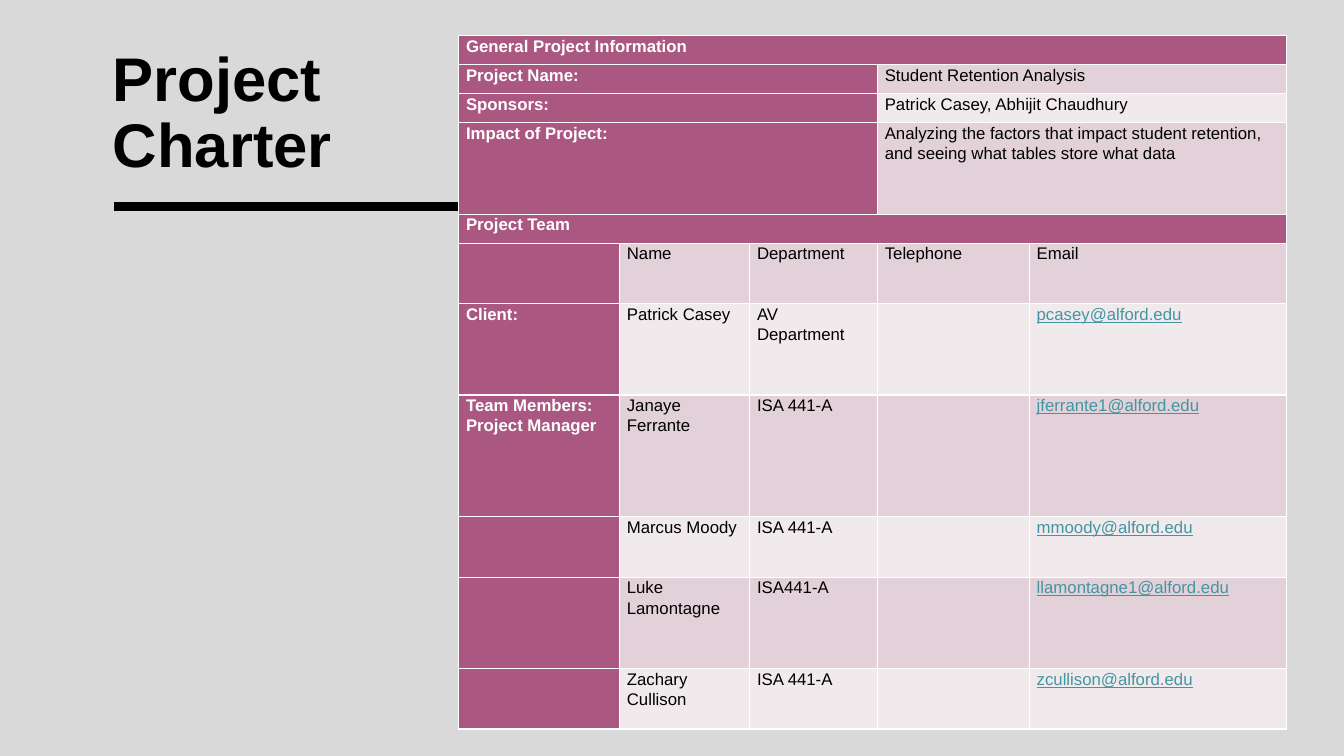
from lxml import etree
from pptx import Presentation
from pptx.dml.color import RGBColor
from pptx.enum import shapes, text
from pptx.oxml import ns
from pptx.util import Pt

BLACK, WHITE, LINK = "000000", "FFFFFF", "4495A2"
PLUM, ROSE, BLUSH = "AA5881", "E2D1D8", "F1EAED"


def color(value):
    return RGBColor.from_string(value)


def write(frame, words, size=12, ink=BLACK, bold=False, underline=False, spacing=1.07):
    """Fill a text frame; newlines split paragraphs, vertical tabs break lines."""
    frame.word_wrap = True
    frame.text = words
    for para in frame.paragraphs:
        para.line_spacing = spacing
        for span in para.runs or [para.add_run()]:
            span.font.name = "Arial"
            span.font.size = Pt(size)
            span.font.bold = bold
            span.font.underline = underline
            span.font.color.rgb = color(ink)


deck = Presentation()
deck.slide_width, deck.slide_height = Pt(960), Pt(540)
page = deck.slides.add_slide(deck.slide_layouts[6])
page.background.fill.solid()
page.background.fill.fore_color.rgb = color("D9D9D9")

# Title
title = page.shapes.add_textbox(Pt(80.6), Pt(78.5), Pt(615), Pt(51)).text_frame
title.margin_left = title.margin_right = title.margin_top = title.margin_bottom = 0
title.vertical_anchor = text.MSO_ANCHOR.BOTTOM
write(title, "Project\vCharter", size=44, bold=True, spacing=0.9)

# Rule under the title, running behind the table
rule = page.shapes.add_connector(
    shapes.MSO_CONNECTOR.STRAIGHT, Pt(81.4), Pt(147.5), Pt(386), Pt(147.5))
rule.line.width = Pt(6)
rule.line.color.rgb = color(BLACK)
etree.SubElement(rule._element.spPr, ns.qn("a:effectLst"))

# Table content: each row has its height and its cells
NARROW, MEDIUM, TALL = 20.8, 43.2, 65.2
rows = [
    (NARROW, ["General Project Information"]),
    (NARROW, ["Project Name:", "Student Retention Analysis"]),
    (NARROW, ["Sponsors:", "Patrick Casey, Abhijit Chaudhury"]),
    (TALL, ["Impact of Project:", "Analyzing the factors that impact student "
            "retention, and seeing what tables store what data"]),
    (NARROW, ["Project Team"]),
    (MEDIUM, ["", "Name", "Department", "Telephone", "Email"]),
    (TALL, ["Client:", "Patrick Casey", "AV Department", "", "pcasey@alford.edu"]),
    (87.1, ["Team Members:\nProject Manager", "Janaye Ferrante", "ISA 441-A", "",
            "jferrante1@alford.edu"]),
    (MEDIUM, ["", "Marcus Moody", "ISA 441-A", "", "mmoody@alford.edu"]),
    (TALL, ["", "Luke Lamontagne", "ISA441-A", "", "llamontagne1@alford.edu"]),
    (MEDIUM, ["", "Zachary Cullison", "ISA 441-A", "", "zcullison@alford.edu"]),
]
widths = [114.9, 93, 91.3, 108.5, 183.6]
starts = {1: [0], 2: [0, 3], 5: [0, 1, 2, 3, 4]}  # first column of each cell

# Table
charter = page.shapes.add_table(
    len(rows), len(widths), Pt(327.5), Pt(25.4),
    Pt(sum(widths)), Pt(sum(height for height, _ in rows))).table
for column, width in zip(charter.columns, widths):
    column.width = Pt(width)

for r, (height, words) in enumerate(rows):
    charter.rows[r].height = Pt(height)
    first_columns = starts[len(words)]
    for c in range(len(widths)):
        cell = charter.cell(r, c)
        is_label = c == 0 or len(words) == 1
        entry = words[first_columns.index(c)] if c in first_columns else ""
        is_email = "@" in entry
        cell.margin_left = cell.margin_right = Pt(5.4)
        cell.margin_top = cell.margin_bottom = 0
        cell.fill.solid()
        cell.fill.fore_color.rgb = color(PLUM if is_label else ROSE if r % 2 else BLUSH)
        write(cell.text_frame, entry, bold=is_label, underline=is_email,
              ink=WHITE if is_label else LINK if is_email else BLACK)
    for first, after in zip(first_columns, first_columns[1:] + [len(widths)]):
        if after - first > 1:
            charter.cell(r, first).merge(charter.cell(r, after - 1))

deck.save("out.pptx")
